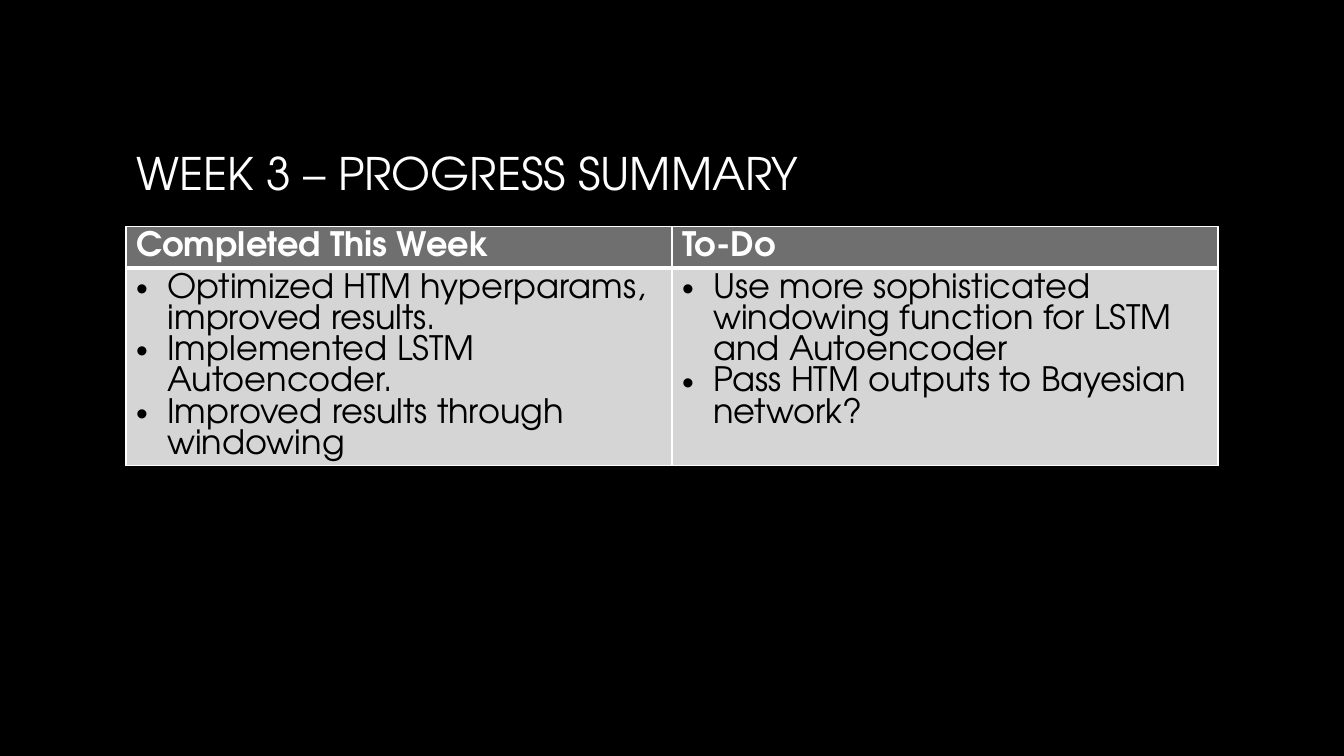
"""Build the weekly progress summary slide."""
import lxml.etree
import pptx
import pptx.dml.color
import pptx.enum.text
import pptx.oxml.ns
import pptx.util

Inches = pptx.util.Inches
FONT = "TeX Gyre Adventor"
WHITE = "FFFFFF"
PROGRESS = {
    "Completed This Week": [
        "Optimized HTM hyperparams, improved results.",
        "Implemented LSTM Autoencoder.",
        "Improved results through windowing",
    ],
    "To-Do": [
        "Use more sophisticated windowing function for LSTM and Autoencoder",
        "Pass HTM outputs to Bayesian network?",
    ],
}


def color(value):
    """Return a colour from a hex string."""
    return pptx.dml.color.RGBColor.from_string(value)


def add_run(paragraph, text, size, text_color, bold=False):
    """Add one formatted run to a paragraph."""
    run = paragraph.add_run()
    run.text = text
    run.font.name = FONT
    run.font.size = pptx.util.Pt(size)
    run.font.bold = bold
    run.font.color.rgb = color(text_color)


def add_xml(parent, tag, **attributes):
    """Append a DrawingML element and return it."""
    return lxml.etree.SubElement(parent, pptx.oxml.ns.qn(tag), **attributes)


def set_bullet(paragraph):
    """Give a paragraph a round bullet with a hanging indent."""
    properties = paragraph._p.get_or_add_pPr()
    properties.set("marL", str(Inches(0.31)))
    properties.set("indent", str(-Inches(0.31)))
    add_xml(properties, "a:buFont", typeface="Arial")
    add_xml(properties, "a:buChar", char="•")


def set_borders(cell, top, bottom):
    """Draw white borders, with top and bottom widths in points."""
    properties = cell._tc.get_or_add_tcPr()
    widths = {"a:lnL": 1, "a:lnR": 1, "a:lnT": top, "a:lnB": bottom}
    for position, (tag, width) in enumerate(widths.items()):
        line = lxml.etree.Element(pptx.oxml.ns.qn(tag), w=str(pptx.util.Pt(width)))
        add_xml(add_xml(line, "a:solidFill"), "a:srgbClr", val=WHITE)
        properties.insert(position, line)


def fill_cell(cell, lines, fill, text_color, header):
    """Write the lines of a header or bulleted body cell."""
    cell.fill.solid()
    cell.fill.fore_color.rgb = color(fill)
    set_borders(cell, top=1 if header else 3, bottom=3 if header else 1)
    for index, line in enumerate(lines):
        frame = cell.text_frame
        paragraph = frame.add_paragraph() if index else frame.paragraphs[0]
        if not header:
            set_bullet(paragraph)
        add_run(paragraph, line, 24, text_color, bold=header)


def add_title(slide, text):
    """Place and format the slide title."""
    title = slide.shapes.title
    title.left, title.top = Inches(1.25), Inches(0.67)
    title.width, title.height = Inches(10.83), Inches(2.08)
    title.text_frame.vertical_anchor = pptx.enum.text.MSO_ANCHOR.MIDDLE
    paragraph = title.text_frame.paragraphs[0]
    paragraph.alignment = pptx.enum.text.PP_ALIGN.LEFT
    add_run(paragraph, text, 32, WHITE)


def add_progress_table(slide, columns):
    """Add a table with one headed bullet list per column."""
    frame = slide.shapes.add_table(
        2, len(columns), Inches(1.25), Inches(2.25), Inches(10.83), Inches(2.37)
    )
    table = frame.table
    table.rows[0].height = Inches(0.41)
    table.rows[1].height = Inches(1.96)
    for index, (heading, items) in enumerate(columns.items()):
        fill_cell(table.cell(0, index), [heading], "6F6F6F", WHITE, header=True)
        fill_cell(table.cell(1, index), items, "D5D5D5", "000000", header=False)


def main():
    """Build and save the presentation."""
    presentation = pptx.Presentation()
    presentation.slide_width = Inches(13.33)
    presentation.slide_height = Inches(7.5)
    slide = presentation.slides.add_slide(presentation.slide_layouts[5])
    slide.background.fill.solid()
    slide.background.fill.fore_color.rgb = color("000000")
    add_title(slide, "WEEK 3 – PROGRESS SUMMARY")
    add_progress_table(slide, PROGRESS)
    presentation.save("out.pptx")


if __name__ == "__main__":
    main()
